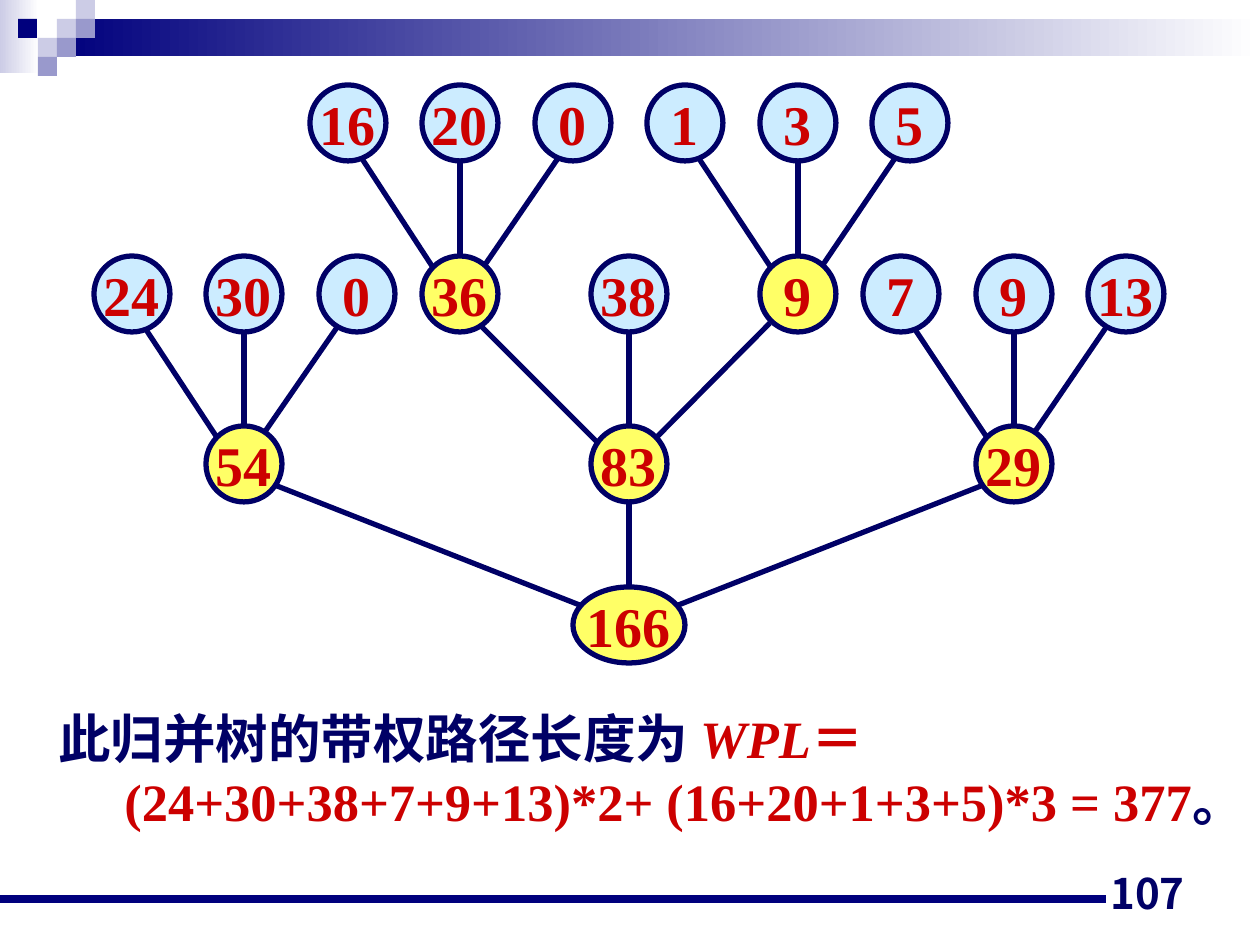
from lxml import etree
from pptx import Presentation, util as u
from pptx.dml.color import RGBColor
from pptx.enum import shapes, text
from pptx.oxml.ns import qn

PX = u.Inches(1) // 126
NAVY, RED, BAR = "000066", "CC0000", "00007D"
LEAF, MERGED = "CCECFF", "FFFF66"
PALE, MID = "CCCCE6", "9999CC"
SERIF, SANS = "Times New Roman", "Noto Sans CJK JP"

# Merge tree: label, centre x; one list per level, top to bottom
LEVELS = [
    (123, [("16", 348), ("20", 460), ("0", 573), ("1", 685), ("3", 798), ("5", 910)]),
    (294, [("24", 132), ("30", 244), ("0", 357), ("36", 460), ("38", 629),
           ("9", 798), ("7", 901), ("9", 1014), ("13", 1126)]),
    (464, [("54", 244), ("83", 629), ("29", 1014)]),
    (625, [("166", 629)]),
]
# Level and index of the parent, index of its first child one level up,
# then offsets from node centres for the left and right branches
LEAF_LEFT = (9, 28, -28, -28)
BRANCHES = [
    (1, 3, 0, LEAF_LEFT, (-10, 28, 18, -19)),
    (1, 5, 3, LEAF_LEFT, (-10, 28, 18, -19)),
    (2, 0, 0, LEAF_LEFT, (-10, 19, 18, -28)),
    (2, 1, 3, (18, 29, -28, -18), (-28, 29, 19, -18)),
    (2, 2, 6, LEAF_LEFT, (-10, 19, 18, -28)),
    (3, 0, 0, (28, 20, -47, -19), (-28, 20, 47, -19)),
]
NODE, ROOT_W = 76, 112

# Corner squares: x, y, colour
SQUARES = [(57, 19, PALE), (76, 0, PALE), (76, 19, MID), (38, 38, PALE),
           (18, 19, BAR), (57, 38, MID), (38, 57, MID)]
# Caption: first-line indent, then runs of text, colour, italic
CAPTION = [
    (26, [("此归并树的带权路径长度为 ", NAVY, False), ("WPL", RED, True), ("＝", RED, False)]),
    (92, [("(24+30+38+7+9+13)*2+ (16+20+1+3+5)*3 = 377", RED, False), ("。", NAVY, False)]),
]

prs = Presentation()
prs.slide_width, prs.slide_height = u.Inches(10), u.Inches(7.5)
slide = prs.slides.add_slide(prs.slide_layouts[6])


def rgb(value):
    return RGBColor.from_string(value)


def px(*lengths):
    return [round(length * PX) for length in lengths]


def add_block(kind, x, y, w, h, color, end_color=None):
    block = slide.shapes.add_shape(kind, *px(x, y, w, h))
    block.shadow.inherit = False
    block.line.fill.background()
    if end_color:
        block.fill.gradient()
        block.fill.gradient_angle = 0
        for stop, shade in zip(block.fill.gradient_stops, (color, end_color)):
            stop.color.rgb = rgb(shade)
    else:
        block.fill.solid()
        block.fill.fore_color.rgb = rgb(color)
    return block


def add_line(x1, y1, x2, y2, color, width):
    line = slide.shapes.add_connector(shapes.MSO_CONNECTOR.STRAIGHT, *px(x1, y1, x2, y2))
    line.line.color.rgb = rgb(color)
    line.line.width = u.Pt(width)
    etree.SubElement(line._element.spPr, qn("a:effectLst"))


def style(font, name, size, color):
    font.name, font.size, font.bold = name, u.Pt(size), True
    font.color.rgb = rgb(color)


def add_node(label, x, y, width, color):
    node = add_block(shapes.MSO_SHAPE.OVAL, x - width / 2, y - NODE / 2, width, NODE, color)
    node.line.color.rgb = rgb(NAVY)
    node.line.width = u.Pt(3)
    frame = node.text_frame
    frame.word_wrap = False
    frame.vertical_anchor = text.MSO_ANCHOR.MIDDLE
    frame.text = label
    frame.paragraphs[0].alignment = text.PP_ALIGN.CENTER
    style(frame.paragraphs[0].runs[0].font, SERIF, 32, RED)


# Header bands, corner squares and footer rule
RECT = shapes.MSO_SHAPE.RECTANGLE
add_block(RECT, 0, 0, 39, 73, PALE, "FFFFFF")
add_block(RECT, 57, 19, 1203, 37, BAR, "FFFFFF")
for x, y, color in SQUARES:
    add_block(RECT, x, y, 19, 19, color)
add_line(0, 899, 1106, 899, BAR, 4.5)

# Tree branches: left, straight and right child of each merged node
for level, index, first, left, right in BRANCHES:
    parent_y, parents = LEVELS[level]
    child_y, children = LEVELS[level - 1]
    parent_x = parents[index][1]
    straight = (0, NODE / 2, 0, -NODE / 2)
    for (_, child_x), (dx1, dy1, dx2, dy2) in zip(children[first:first + 3],
                                                  (left, straight, right)):
        add_line(child_x + dx1, child_y + dy1, parent_x + dx2, parent_y + dy2, NAVY, 3)

# Tree nodes
merged = {(level, index) for level, index, *_ in BRANCHES}
for level, (y, nodes) in enumerate(LEVELS):
    for index, (label, x) in enumerate(nodes):
        add_node(label, x, y, ROOT_W if level == 3 else NODE,
                 MERGED if (level, index) in merged else LEAF)

# Weighted path length caption
caption = slide.shapes.add_textbox(*px(20, 700, 1239, 139)).text_frame
caption.word_wrap = True
for number, (indent, runs) in enumerate(CAPTION):
    line = caption.add_paragraph() if number else caption.paragraphs[0]
    line._p.get_or_add_pPr().set("indent", str(indent * PX))
    for words, color, italic in runs:
        run = line.add_run()
        run.text = words
        style(run.font, SERIF, 30, color)
        run.font.italic = italic

# Page number
page = slide.shapes.add_textbox(*px(903, 861, 294, 63)).text_frame
page.word_wrap = True
page.vertical_anchor = text.MSO_ANCHOR.BOTTOM
page.text = "107"
page.paragraphs[0].alignment = text.PP_ALIGN.RIGHT
style(page.paragraphs[0].runs[0].font, SANS, 24, NAVY)

prs.save("out.pptx")
